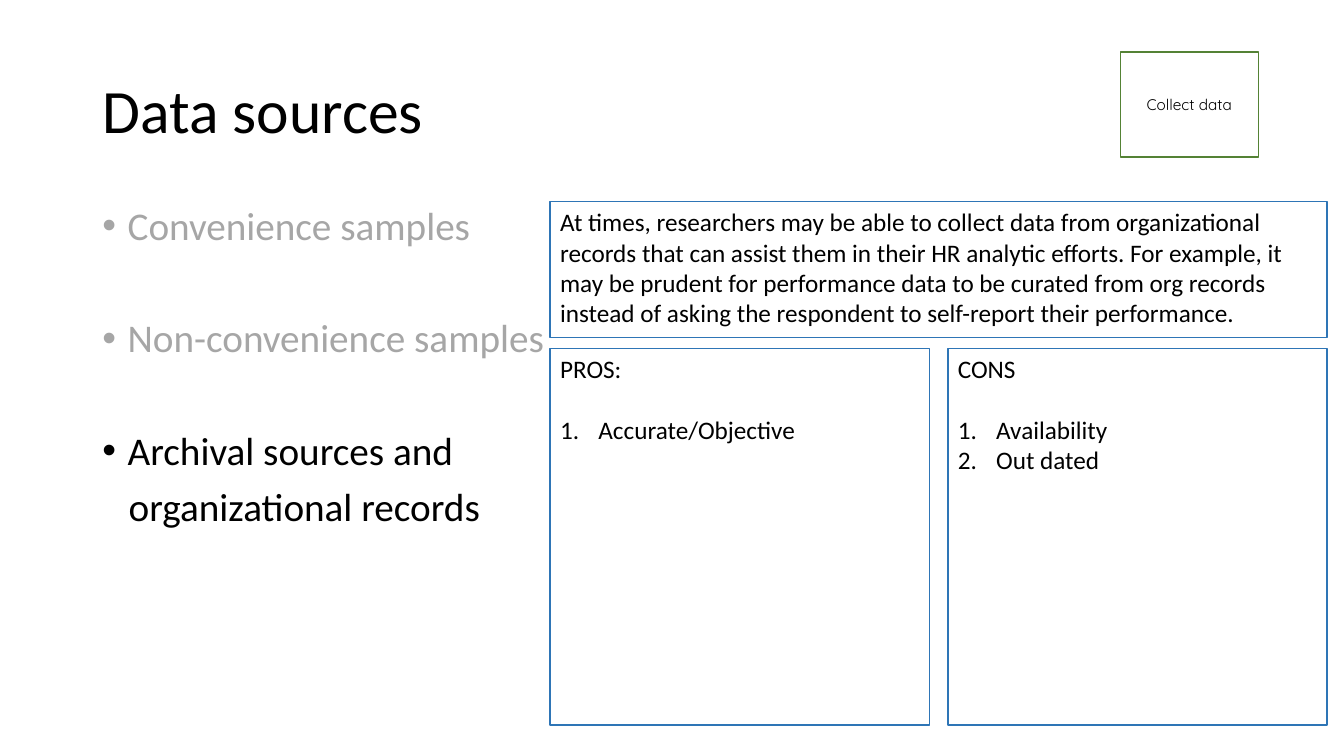
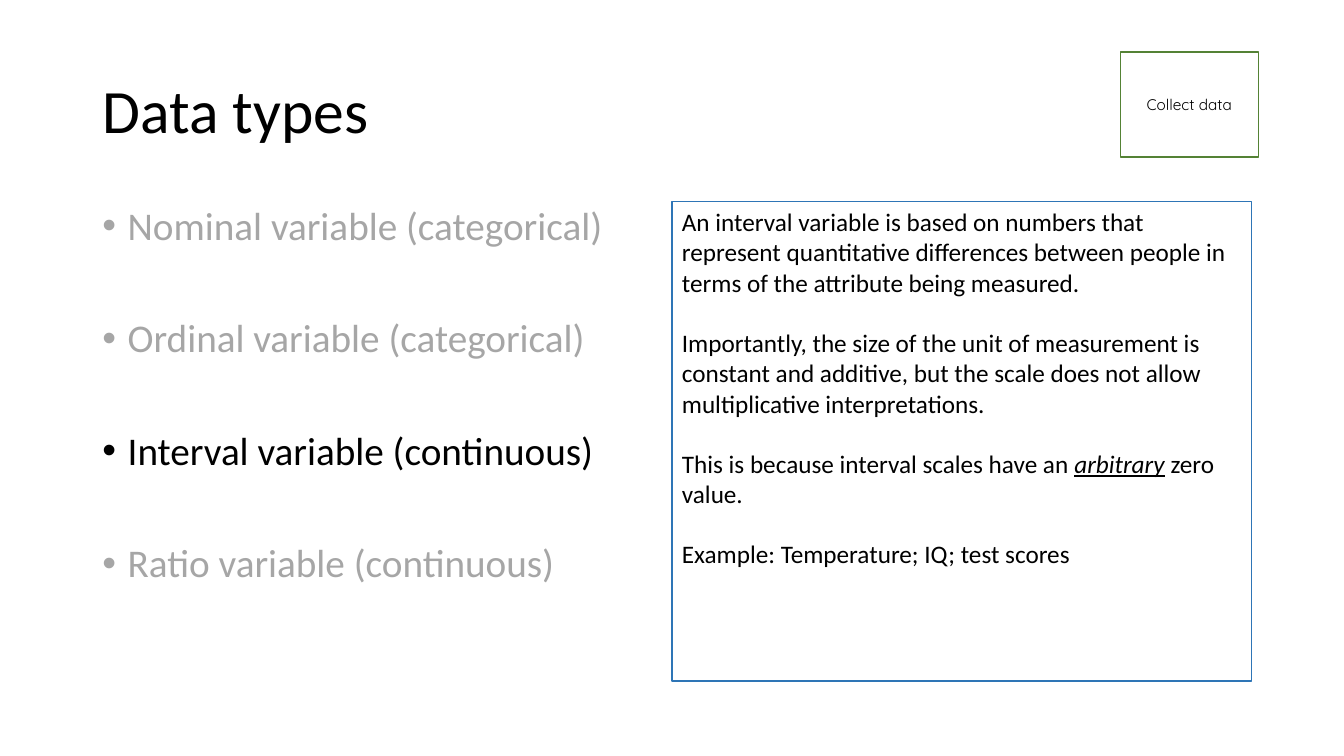
from pptx import Presentation, util as u
from pptx.dml.color import RGBColor
from pptx.enum import shapes, text
from pptx.oxml.xmlchemy import OxmlElement

BLACK, MUTED, BLUE, GREEN = "000000", "A6A6A6", "2E75B6", "548235"
BODY_FONT, TAG_FONT = "Calibri", "Quicksand"
BLANK_LINE = 21.5

prs = Presentation()
prs.slide_width, prs.slide_height = u.Inches(13.33), u.Inches(7.5)
COL, ROW = prs.slide_width / 160, prs.slide_height / 90

# Shared grid: columns and rows
LEFT, WIDTH = 11, 138
TOP, HEIGHT = 24, 57.1
layout = prs.slide_layouts[1]


def place(left, top, width, height):
    """Turn grid columns and rows into slide lengths."""
    return [round(n) for n in (left * COL, top * ROW, width * COL, height * ROW)]


def write(paragraph, words, size, color=BLACK, font=BODY_FONT, before=0,
          spacing=1.0, hang=0, bullet=None, align=text.PP_ALIGN.LEFT):
    """Fill a paragraph; words between asterisks are italic and underlined.

    bullet is an (element, attribute, value) triple; hang is in inches.
    """
    for i, piece in enumerate(words.split("*")):
        run = paragraph.add_run()
        run.text = piece
        if i % 2:
            run.font.italic = run.font.underline = True
    paragraph.font.size, paragraph.font.name = u.Pt(size), font
    paragraph.font.color.rgb = RGBColor.from_string(color)
    paragraph.alignment, paragraph.line_spacing = align, spacing
    paragraph.space_before = u.Pt(before)
    properties = paragraph._p.get_or_add_pPr()
    properties.set("marL", str(u.Inches(hang)))
    properties.set("indent", str(-u.Inches(hang) if bullet else 0))
    tag, attribute, value = bullet or ("a:buNone", None, None)
    mark = OxmlElement(tag)
    if attribute:
        mark.set(attribute, value)
    properties.insert_element_before(mark, "a:tabLst", "a:defRPr", "a:extLst")


DOT = ("a:buChar", "char", "•")
NUMBER = ("a:buAutoNum", "type", "arabicPeriod")

for holder, area in zip(layout.placeholders, [(LEFT, 4.8, WIDTH, 17.4),
                                              (LEFT, TOP, WIDTH, HEIGHT)]):
    holder.left, holder.top, holder.width, holder.height = place(*area)

PANEL_LEFT, PANEL_WIDTH, GUTTER = 65.5, 92.5, 2.2
half = (PANEL_WIDTH - GUTTER) / 2
LISTS_TOP, LISTS_HEIGHT = 41.5, 44.8

# Each slide: title, list, active item, continuation of that item,
# boxes as (area, paragraphs, numbered items)
slides = [
    ("Data sources",
     ["Convenience samples", "Non-convenience samples", "Archival sources and"],
     2, "organizational records",
     [((PANEL_LEFT, TOP, PANEL_WIDTH, 16.2),
       ["At times, researchers may be able to collect data from organizational "
        "records that can assist them in their HR analytic efforts. For example, "
        "it may be prudent for performance data to be curated from org records "
        "instead of asking the respondent to self-report their performance."], []),
      ((PANEL_LEFT, LISTS_TOP, half, LISTS_HEIGHT),
       ["PROS:"], ["Accurate/Objective"]),
      ((PANEL_LEFT + half + GUTTER, LISTS_TOP, half, LISTS_HEIGHT),
       ["CONS"], ["Availability", "Out dated"])]),
    ("Data types",
     ["Nominal variable (categorical)", "Ordinal variable (categorical)",
      "Interval variable (continuous)", "Ratio variable (continuous)"],
     2, None,
     [((80, TOP, 69, HEIGHT),
       ["An interval variable is based on numbers that represent quantitative "
        "differences between people in terms of the attribute being measured.",
        "Importantly, the size of the unit of measurement is constant and "
        "additive, but the scale does not allow multiplicative interpretations.",
        "This is because interval scales have an *arbitrary* zero value.",
        "Example: Temperature; IQ; test scores"], [])]),
]

for title, items, active, continuation, panels in slides:
    slide = prs.slides.add_slide(layout)
    heading = slide.shapes.title.text_frame
    heading.vertical_anchor = text.MSO_ANCHOR.MIDDLE
    write(heading.paragraphs[0], title, 44, spacing=0.9)

    topics = slide.placeholders[1].text_frame
    topics.auto_size = text.MSO_AUTO_SIZE.NONE
    for i, item in enumerate(items):
        line = topics.add_paragraph() if i else topics.paragraphs[0]
        write(line, item, 28, BLACK if i == active else MUTED,
              before=50 if i else 10, spacing=0.9, hang=0.25, bullet=DOT)
    if continuation:
        write(topics.add_paragraph(), continuation, 28,
              before=10, spacing=0.9, hang=0.26)

    step = ((133.4, 6.2, 16.4, 12.5), ["Collect data"], [])
    for panel in [step] + panels:
        area, prose, numbered = panel
        is_step = panel is step
        box = slide.shapes.add_shape(shapes.MSO_SHAPE.RECTANGLE, *place(*area))
        box.shadow.inherit = False
        box.fill.background()
        box.line.color.rgb = RGBColor.from_string(GREEN if is_step else BLUE)
        box.line.width = u.Pt(1)
        frame = box.text_frame
        frame.word_wrap = True
        frame.vertical_anchor = text.MSO_ANCHOR.MIDDLE if is_step else text.MSO_ANCHOR.TOP
        for i, words in enumerate(prose + numbered):
            line = frame.add_paragraph() if i else frame.paragraphs[0]
            in_list = i >= len(prose)
            if is_step:
                write(line, words, 11, font=TAG_FONT, align=text.PP_ALIGN.CENTER)
            else:
                write(line, words, 18,
                      before=BLANK_LINE if 0 < i <= len(prose) else 0,
                      hang=0.38 if in_list else 0,
                      bullet=NUMBER if in_list else None)

prs.save("out.pptx")
